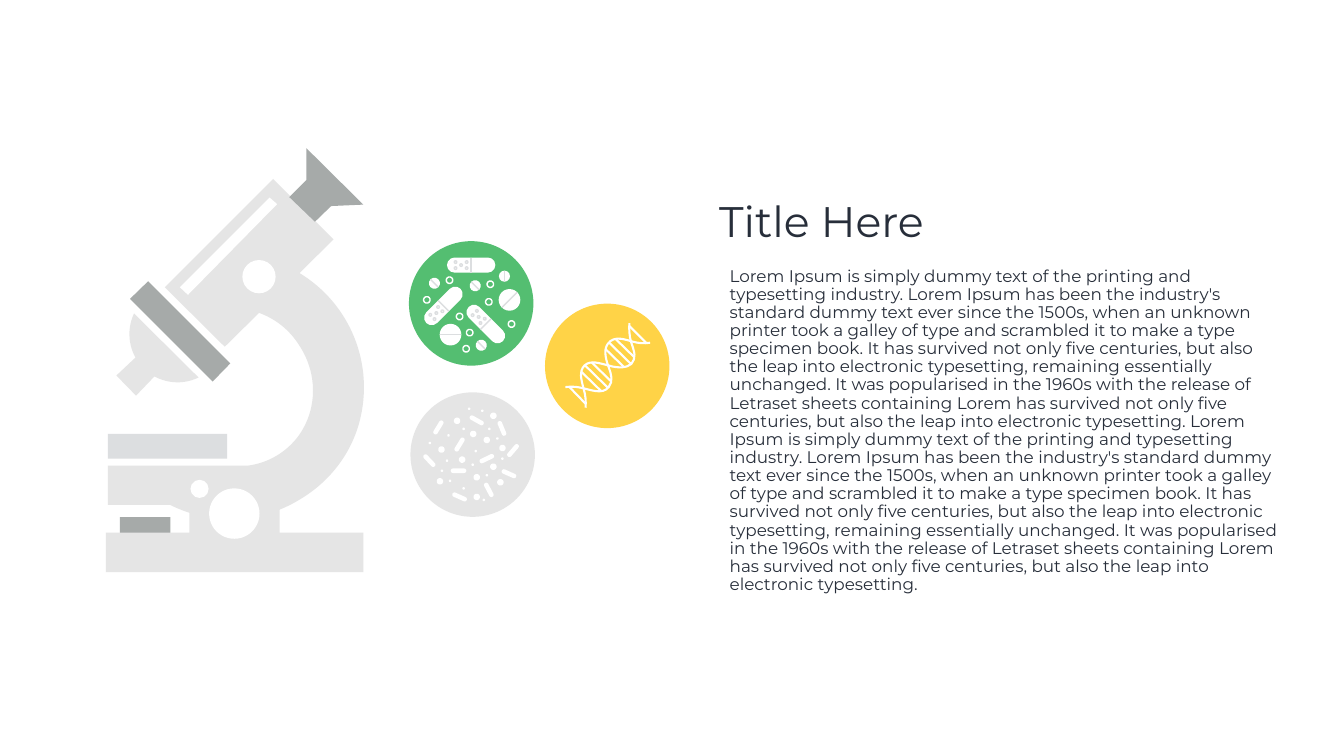
"""Build a slide with a microscope, three sample discs, a title and a text."""
from math import cos, radians, sin

from pptx import Presentation
from pptx.dml.color import RGBColor
from pptx.enum.shapes import MSO_CONNECTOR as Connector, MSO_SHAPE as Shape
from pptx.enum.text import MSO_ANCHOR as Anchor
from pptx.oxml.ns import qn
from pptx.util import Inches, Pt
from lxml.etree import SubElement

WIDTH, HEIGHT = 26.67, 15
FONT = "Montserrat"
WHITE = RGBColor(255, 255, 255)
LIGHT = RGBColor(0xE5, 0xE5, 0xE5)
SILVER = RGBColor(0xDC, 0xDE, 0xE0)
GREY = RGBColor(0xA6, 0xAA, 0xA9)
GREEN = RGBColor(0x54, 0xBE, 0x71)
YELLOW = RGBColor(0xFF, 0xD3, 0x47)
INK = RGBColor(0x27, 0x2E, 0x3A)

TITLE = "Title Here"
PASSAGE = (
    "Lorem Ipsum is simply dummy text of the printing and typesetting industry. "
    "Lorem Ipsum has been the industry's standard dummy text ever since the 1500s, "
    "when an unknown printer took a galley of type and scrambled it to make a type "
    "specimen book. It has survived not only five centuries, but also the leap into "
    "electronic typesetting, remaining essentially unchanged. It was popularised in "
    "the 1960s with the release of Letraset sheets containing Lorem has survived not "
    "only five centuries, but also the leap into electronic typesetting."
)
BODY = " ".join([PASSAGE] * 2)

BASE_PLATES = [
    (2.38, 10.26, 1, 0.36, GREY), (2.1, 10.57, 5.11, 0.78, LIGHT),
    (3.76, 9.58, 1.79, 1.12, LIGHT),
]
STAGE = (2.14, 8.61, 2.37, 0.49, SILVER)
ARM = [
    (4.91, 9.24), (2.14, 9.24), (2.14, 10.02), (3.38, 10.02),
    (4.2, 10.43, 5.17, 10.39, 5.95, 9.91), (6.54, 9.56, 6.96, 9.01, 7.13, 8.38),
    (7.44, 7.23, 6.95, 6.02, 5.93, 5.41), (5.12, 6.2),
    (5.46, 6.32, 5.74, 6.54, 5.93, 6.84), (6.3, 7.39, 6.31, 8.1, 5.93, 8.64),
    (5.69, 8.97, 5.32, 9.19, 4.91, 9.24),
]
TUBE = [(3.27, 5.7), (5.42, 3.55), (6.62, 4.75), (4.46, 6.88), (3.27, 5.7)]
NECK = [(5.74, 3.91), (6.08, 3.57), (6.58, 4.08), (6.25, 4.4), (5.74, 3.91)]
COLLAR = [(2.94, 5.58), (4.57, 7.21), (4.22, 7.57), (2.58, 5.93), (2.94, 5.58)]
EYEPIECE = [(6.08, 3.63), (6.08, 2.94), (7.21, 4.06), (6.53, 4.09), (6.08, 3.63)]
TURRET = [(3.94, 7.49), (2.66, 6.22), (2.49, 6.58, 2.56, 7.01, 2.84, 7.3),
          (3.13, 7.59, 3.57, 7.67, 3.94, 7.49)]
LENS = [(2.79, 7), (2.31, 7.45), (2.7, 7.85), (3.15, 7.38), (2.79, 7)]
GLINT = [(3.57, 5.7), (5.35, 3.92), (5.5, 4.05), (3.73, 5.85), (3.57, 5.7)]
BODY_PARTS = [(ARM, LIGHT), (TUBE, LIGHT), (NECK, GREY), (COLLAR, GREY)]
OPTICS = [(EYEPIECE, GREY), (TURRET, LIGHT), (LENS, LIGHT)]
KNOBS = [(4.65, 10.19, 1), (3.96, 9.7, 0.36), (5.14, 5.49, 0.66)]

DISC = 2.47
BANDAGES = [(9.35, 5.26, 0), (9.64, 6.43, 45), (8.8, 6.07, -45)]
BANDAGE_HOLES = [(-0.31, -0.06), (-0.31, 0.06), (-0.09, -0.06), (-0.09, 0.06), (-0.2, 0)]
PILLS = [
    (8.94, 6.64, 0.43, 0), (10.11, 5.95, 0.43, 135), (10.01, 5.48, 0.22, 90),
    (9.43, 5.67, 0.22, 45), (9.55, 6.85, 0.22, 45), (8.62, 5.62, 0.22, 45),
]
BUBBLES = [(9.73, 5.64), (9.7, 5.99), (10.15, 6.43), (9.32, 6.6),
           (9.25, 6.92), (9.12, 6.28), (8.47, 5.95), (8.92, 5.56)]

STRANDS = [
    [(11.22, 7.68), (11.32, 7.67, 11.42, 7.67, 11.51, 7.69),
     (11.72, 7.73, 11.95, 7.84, 12.08, 7.68), (12.17, 7.57, 12.13, 7.42, 12.08, 7.29),
     (12.01, 7.1, 11.96, 6.89, 12.11, 6.77), (12.24, 6.67, 12.41, 6.74, 12.56, 6.78),
     (12.67, 6.81, 12.79, 6.82, 12.9, 6.8)],
    [(11.62, 8.09), (11.63, 7.96, 11.62, 7.84, 11.58, 7.71),
     (11.54, 7.55, 11.48, 7.37, 11.6, 7.25), (11.72, 7.14, 11.9, 7.21, 12.07, 7.25),
     (12.16, 7.28, 12.25, 7.29, 12.34, 7.29), (12.41, 7.28, 12.48, 7.27, 12.53, 7.22),
     (12.58, 7.17, 12.59, 7.1, 12.59, 7.03), (12.58, 6.95, 12.55, 6.86, 12.52, 6.78),
     (12.49, 6.66, 12.48, 6.53, 12.49, 6.41)],
]
RUNGS = [
    (12.09, 6.8, 12.52, 7.22), (12.02, 6.93, 12.38, 7.28), (12.22, 6.73, 12.59, 7.09),
    (11.61, 7.25, 12.06, 7.69), (11.54, 7.38, 11.93, 7.76), (11.74, 7.19, 12.13, 7.57),
    (12.49, 6.47, 12.83, 6.81), (11.3, 7.68, 11.62, 8.01),
]
RODS = [
    (9.1, 9.34, 0), (9.46, 8.34, 29.2), (9.66, 9.1, 334.5), (10.1, 9.4, 23.9),
    (9.12, 9.86, 23.9), (8.7, 8.48, 301.4), (9.12, 8.82, 301.4), (9.96, 8.5, 247.4),
    (8.52, 9.14, 46.6), (9.7, 9.72, 62.3), (10.18, 8.94, 130.5),
]
GERMS = {
    0.13: [(9.66, 8.73), (9.17, 9.12), (9.46, 9.47), (9.46, 9.86), (8.73, 9.55),
           (8.76, 8.92), (9.07, 8.35), (9.79, 8.25), (9.97, 8.89), (9.93, 9.57),
           (9.79, 9.26), (9.39, 8.61)],
    0.05: [(9.31, 8.11), (9.57, 8.15), (9.97, 9.1), (9.44, 8.95), (9.2, 9.69),
           (9.66, 9.43), (9.6, 9.92), (8.87, 9.14), (8.9, 8.64), (9.2, 8.51),
           (9.71, 8.51), (9.87, 8.7), (8.77, 9.34), (8.93, 9.54), (8.53, 8.79),
           (9.38, 9.22)],
}


def paint(shape, fill=None, line=None, weight=2):
    shape.shadow.inherit = False
    if fill is None:
        shape.fill.background()
    else:
        shape.fill.solid()
        shape.fill.fore_color.rgb = fill
    if line is None:
        shape.line.fill.background()
    else:
        shape.line.color.rgb = line
        shape.line.width = Pt(weight)


def add_centred(group, kind, x, y, width, height, angle=0, **colours):
    box = (x - width / 2, y - height / 2, width, height)
    shape = group.shapes.add_shape(kind, *map(Inches, box))
    shape.rotation = angle
    if kind == Shape.ROUNDED_RECTANGLE:
        shape.adjustments[0] = 0.5
    paint(shape, **colours)


def add_plate(group, left, top, width, height, color):
    add_centred(group, Shape.RECTANGLE, left + width / 2, top + height / 2,
                width, height, fill=color)


def add_circle(group, x, y, size, angle=0, **colours):
    add_centred(group, Shape.OVAL, x, y, size, size, angle, **colours)


def add_line(group, ends, color, weight):
    line = group.shapes.add_connector(Connector.STRAIGHT, *map(Inches, ends))
    line.line.color.rgb = color
    line.line.width = Pt(weight)
    SubElement(line._element.spPr, qn("a:effectLst"))


def turn(x, y, angle):
    c, s = cos(radians(angle)), sin(radians(angle))
    return x * c - y * s, x * s + y * c


def add_divider(group, x, y, length, angle):
    dx, dy = turn(length / 2, 0, angle)
    add_line(group, (x - dx, y - dy, x + dx, y + dy), SILVER, 2)


def bounds(route, axis, steps=20):
    values = [route[0][axis]]
    for part in route[1:]:
        a, (b, c, d) = values[-1], (part[axis::2] if len(part) == 6 else part[axis:axis + 1] * 3)
        values += [(1 - t) ** 3 * a + 3 * t * (1 - t) ** 2 * b + 3 * t * t * (1 - t) * c
                   + t ** 3 * d for t in (step / steps for step in range(1, steps + 1))]
    return Inches(min(values)), Inches(max(values))


def add_outline(group, route, close=True, **colours):
    (left, right), (top, bottom) = bounds(route, 0), bounds(route, 1)
    builder = group.shapes.build_freeform(left, top)
    builder.add_line_segments([(right, bottom)], close=False)
    shape = builder.convert_to_shape()
    outline = next(shape._element.iter(qn("a:path")))
    for command in list(outline):
        outline.remove(command)
    for index, part in enumerate(route):
        tag = "a:moveTo" if index == 0 else "a:lnTo" if len(part) == 2 else "a:cubicBezTo"
        command = SubElement(outline, qn(tag))
        for x, y in zip(part[::2], part[1::2]):
            SubElement(command, qn("a:pt"), x=str(Inches(x) - left), y=str(Inches(y) - top))
    if close:
        SubElement(outline, qn("a:close"))
    paint(shape, **colours)


def add_text(slide, text, shares, size, spacing, insets):
    left, top, width, height = shares
    box = slide.shapes.add_textbox(Inches(left * WIDTH / 100), Inches(top * HEIGHT / 100),
                                   Inches(width * WIDTH / 100), Inches(height * HEIGHT / 100))
    frame = box.text_frame
    frame.word_wrap = True
    frame.vertical_anchor = Anchor.TOP
    frame.margin_left = frame.margin_right = Inches(insets[0])
    frame.margin_top = frame.margin_bottom = Inches(insets[1])
    paragraph = frame.paragraphs[0]
    paragraph.text = text
    paragraph.line_spacing = spacing
    paragraph.font.name, paragraph.font.size = FONT, Pt(size)
    paragraph.font.color.rgb = INK


def draw_microscope(group):
    for plate in BASE_PLATES:
        add_plate(group, *plate)
    for route, color in BODY_PARTS:
        add_outline(group, route, fill=color)
    add_plate(group, *STAGE)
    for route, color in OPTICS:
        add_outline(group, route, fill=color)
    for knob in KNOBS:
        add_circle(group, *knob, fill=WHITE)
    add_outline(group, GLINT, fill=WHITE)


def draw_medicine(group):
    add_circle(group, 9.35, 6.02, DISC, fill=GREEN)
    for x, y, angle in BANDAGES:
        add_centred(group, Shape.ROUNDED_RECTANGLE, x, y, 0.96, 0.3, angle, fill=WHITE)
        add_divider(group, x, y, 0.3, angle + 90)
        for hole in BANDAGE_HOLES:
            dx, dy = turn(*hole, angle)
            add_circle(group, x + dx, y + dy, 0.05, angle, line=SILVER)
    for x, y, size, angle in PILLS:
        add_circle(group, x, y, size, angle, fill=WHITE)
        add_divider(group, x, y, size, angle)
    for x, y in BUBBLES:
        add_circle(group, x, y, 0.13, 45, line=WHITE)


def draw_helix(group):
    add_circle(group, 12.05, 7.26, DISC, fill=YELLOW)
    for strand in STRANDS:
        add_outline(group, strand, close=False, line=WHITE, weight=3)
    for rung in RUNGS:
        add_line(group, rung, WHITE, 3)


def draw_bacteria(group):
    add_circle(group, 9.38, 9.02, DISC, fill=LIGHT)
    for x, y, angle in RODS:
        add_centred(group, Shape.ROUNDED_RECTANGLE, x, y, 0.31, 0.09, angle, fill=WHITE)
    for size, centres in GERMS.items():
        for x, y in centres:
            add_circle(group, x, y, size, 45, fill=WHITE)


def main():
    presentation = Presentation()
    presentation.slide_width, presentation.slide_height = Inches(WIDTH), Inches(HEIGHT)
    slide = presentation.slides.add_slide(presentation.slide_layouts[6])
    for draw in (draw_microscope, draw_medicine, draw_helix, draw_bacteria):
        draw(slide.shapes.add_group_shape())
    add_text(slide, TITLE, (53.36, 26.87, 30.67, 6.27), 61, 0.8, (0.04, 0.04))
    add_text(slide, BODY, (53.92, 35.07, 41.66, 47.87), 24, 0.9, (0.1, 0.05))
    presentation.save("out.pptx")


if __name__ == "__main__":
    main()
